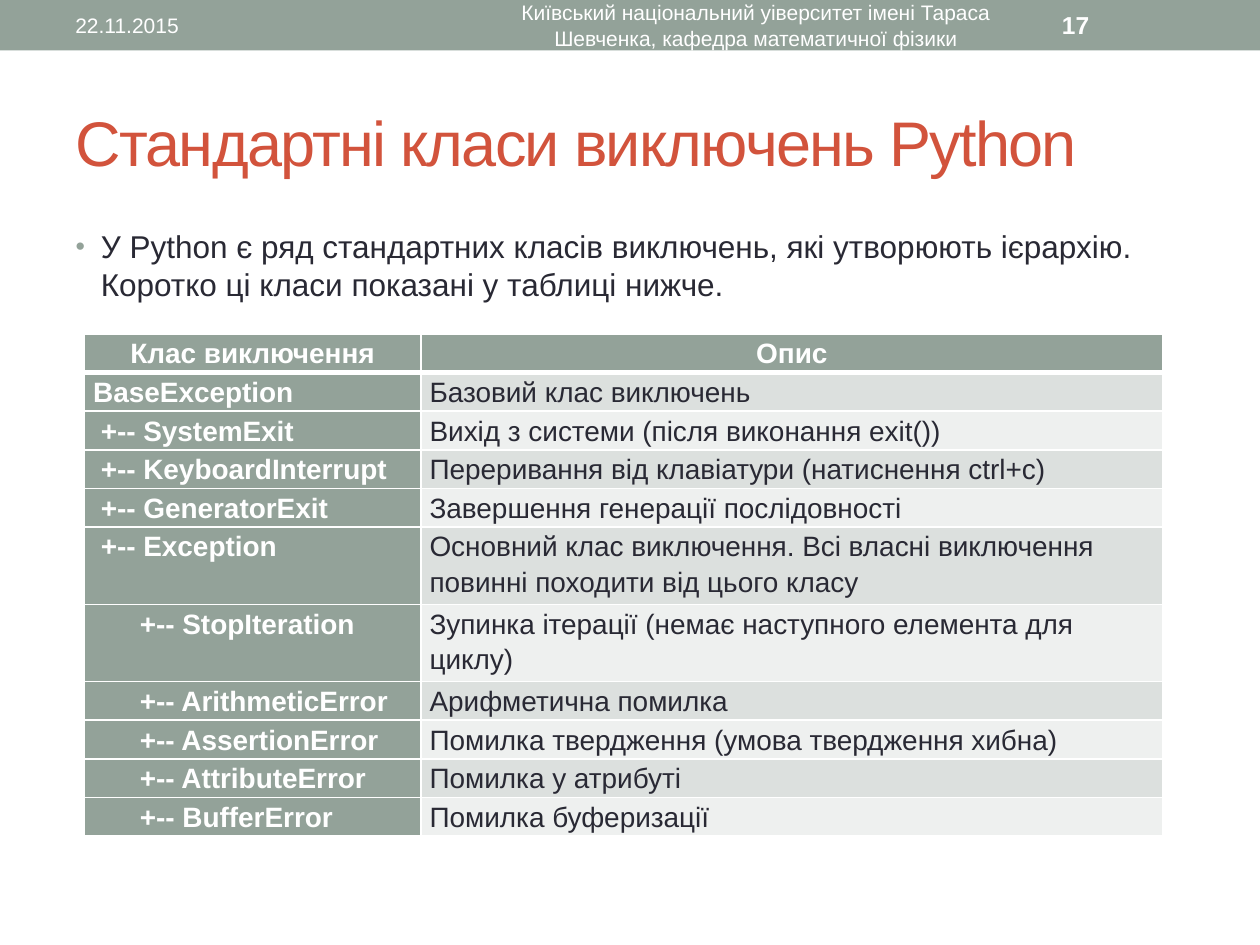
from dataclasses import dataclass

from lxml.etree import SubElement
from pptx import Presentation
from pptx.dml.color import RGBColor
from pptx.enum.shapes import MSO_SHAPE
from pptx.enum.text import MSO_ANCHOR, MSO_AUTO_SIZE, PP_ALIGN
from pptx.oxml.ns import qn
from pptx.util import Inches, Pt


@dataclass(frozen=True)
class Theme:
    font: str = "Arial"
    accent: str = "93A299"
    title: str = "D2533C"
    text: str = "292934"
    light: str = "FFFFFF"
    bands: tuple = ("DCE0DE", "EEF0EF")
    title_size: int = 36
    body_size: int = 18
    table_size: int = 16
    number_size: int = 14
    footer_size: int = 12


THEME = Theme()

# Depth in the class tree, class, description
CLASSES = [
    (0, "BaseException", "Базовий клас виключень"),
    (1, "+-- SystemExit", "Вихід з системи (після виконання exit())"),
    (1, "+-- KeyboardInterrupt", "Переривання від клавіатури (натиснення ctrl+c)"),
    (1, "+-- GeneratorExit", "Завершення генерації послідовності"),
    (1, "+-- Exception", "Основний клас виключення. Всі власні виключення "
                         "повинні походити від цього класу"),
    (2, "+-- StopIteration", "Зупинка ітерації (немає наступного елемента для циклу)"),
    (2, "+-- ArithmeticError", "Арифметична помилка"),
    (2, "+-- AssertionError", "Помилка твердження (умова твердження хибна)"),
    (2, "+-- AttributeError", "Помилка у атрибуті"),
    (2, "+-- BufferError", "Помилка буферизації"),
]
TREE_INDENTS = (0, 0.06, 0.37)


def rgb(color):
    return RGBColor.from_string(color)


def place(sp, left, top, width, height):
    sp.left, sp.top, sp.width, sp.height = map(Inches, (left, top, width, height))


def write(tf, text, size, color, bold=False, align=PP_ALIGN.LEFT, line=None,
          before=0, indent=0, hanging=0, tracking=None):
    """Set one formatted paragraph; indents in inches, tracking in points."""
    p = tf.paragraphs[0]
    p.alignment = align
    p.line_spacing = line
    p.space_before = Pt(before)
    pPr = p._p.get_or_add_pPr()
    pPr.set("marL", str(Inches(indent)))
    pPr.set("indent", str(Inches(-hanging)))
    r = p.add_run()
    r.text = text
    r.font.name = THEME.font
    r.font.size = Pt(size)
    r.font.bold = bold
    r.font.color.rgb = rgb(color)
    if tracking is not None:
        r._r.get_or_add_rPr().set("spc", str(tracking * 100))
    return p


def add_bullet(p, char, color, percent):
    pPr = p._p.get_or_add_pPr()
    SubElement(SubElement(pPr, qn("a:buClr")), qn("a:srgbClr"), val=color)
    SubElement(pPr, qn("a:buSzPct"), val=str(percent * 1000))
    SubElement(pPr, qn("a:buFont"), typeface=THEME.font)
    SubElement(pPr, qn("a:buChar"), char=char)


def add_header_band(s, left, top, width, height):
    band = s.shapes.add_shape(MSO_SHAPE.RECTANGLE, *map(Inches, (left, top, width, height)))
    band.shadow.inherit = False
    band.fill.solid()
    band.fill.fore_color.rgb = rgb(THEME.accent)
    band.line.fill.background()

    small = dict(size=THEME.footer_size, color=THEME.light)
    fields = [
        (0.5, 3.17, "22.11.2015", small),
        (3.75, 4.5, "Київський національний уіверситет імені Тараса Шевченка, "
                    "кафедра математичної фізики", dict(small, align=PP_ALIGN.CENTER)),
        (8.33, 1.17, "17", dict(small, size=THEME.number_size, bold=True)),
    ]
    for x, w, text, style in fields:
        box = s.shapes.add_textbox(
            *map(Inches, (left + x, top + 0.02, w, height - 0.04)))
        tf = box.text_frame
        tf.word_wrap = True
        tf.vertical_anchor = MSO_ANCHOR.MIDDLE
        write(tf, text, **style)


def add_title(s, left, top, width, height):
    sp = s.shapes.title
    place(sp, left, top, width, height)
    tf = sp.text_frame
    tf.auto_size = MSO_AUTO_SIZE.NONE
    tf.vertical_anchor = MSO_ANCHOR.MIDDLE
    write(tf, "Стандартні класи виключень Python", THEME.title_size,
          THEME.title, tracking=-1)


def add_body(s, left, top, width, height):
    sp = s.placeholders[1]
    place(sp, left, top, width, height)
    tf = sp.text_frame
    tf.auto_size = MSO_AUTO_SIZE.NONE
    p = write(tf, "У Python є ряд стандартних класів виключень, які утворюють ієрархію. "
                  "Коротко ці класи показані у таблиці нижче.",
              THEME.body_size, THEME.text, before=3.6, indent=0.2, hanging=0.2)
    add_bullet(p, "•", THEME.accent, 85)


def fill_cell(cell, text, fill, color, top_line=1, bottom_line=1, **style):
    cell.margin_left = cell.margin_right = Inches(0.07)
    cell.margin_top = cell.margin_bottom = 0
    tcPr = cell._tc.get_or_add_tcPr()
    for side, weight in (("L", 1), ("R", 1), ("T", top_line), ("B", bottom_line)):
        ln = SubElement(tcPr, qn(f"a:ln{side}"), w=str(Pt(weight)))
        SubElement(SubElement(ln, qn("a:solidFill")), qn("a:srgbClr"), val=THEME.light)
    cell.fill.solid()
    cell.fill.fore_color.rgb = rgb(fill)
    write(cell.text_frame, text, THEME.table_size, color, line=1.15, **style)


def add_class_table(s, left, top, width, row_height, first_width):
    rows = len(CLASSES) + 1
    frame = s.shapes.add_table(
        rows, 2, *map(Inches, (left, top, width, row_height * rows)))
    table = frame.table
    table.columns[0].width = Inches(first_width)
    table.columns[1].width = Inches(width - first_width)

    for col, heading in enumerate(("Клас виключення", "Опис")):
        fill_cell(table.cell(0, col), heading, THEME.accent, THEME.light,
                  bottom_line=3, bold=True, align=PP_ALIGN.CENTER)
    for i, (depth, name, description) in enumerate(CLASSES):
        top_line = 3 if i == 0 else 1
        fill_cell(table.cell(i + 1, 0), name, THEME.accent, THEME.light,
                  top_line=top_line, bold=True, indent=TREE_INDENTS[depth])
        fill_cell(table.cell(i + 1, 1), description, THEME.bands[i % 2], THEME.text,
                  top_line=top_line)


def main():
    prs = Presentation()
    prs.slide_width, prs.slide_height = Inches(10), Inches(7.5)
    s = prs.slides.add_slide(prs.slide_layouts[1])
    add_header_band(s, 0, 0, 10, 0.4)
    add_title(s, 0.5, 0.58, 9, 1.08)
    add_body(s, 0.5, 1.75, 9, 5.33)
    add_class_table(s, 0.67, 2.65, 8.56, 0.28, first_width=2.67)
    prs.save("out.pptx")


if __name__ == "__main__":
    main()
